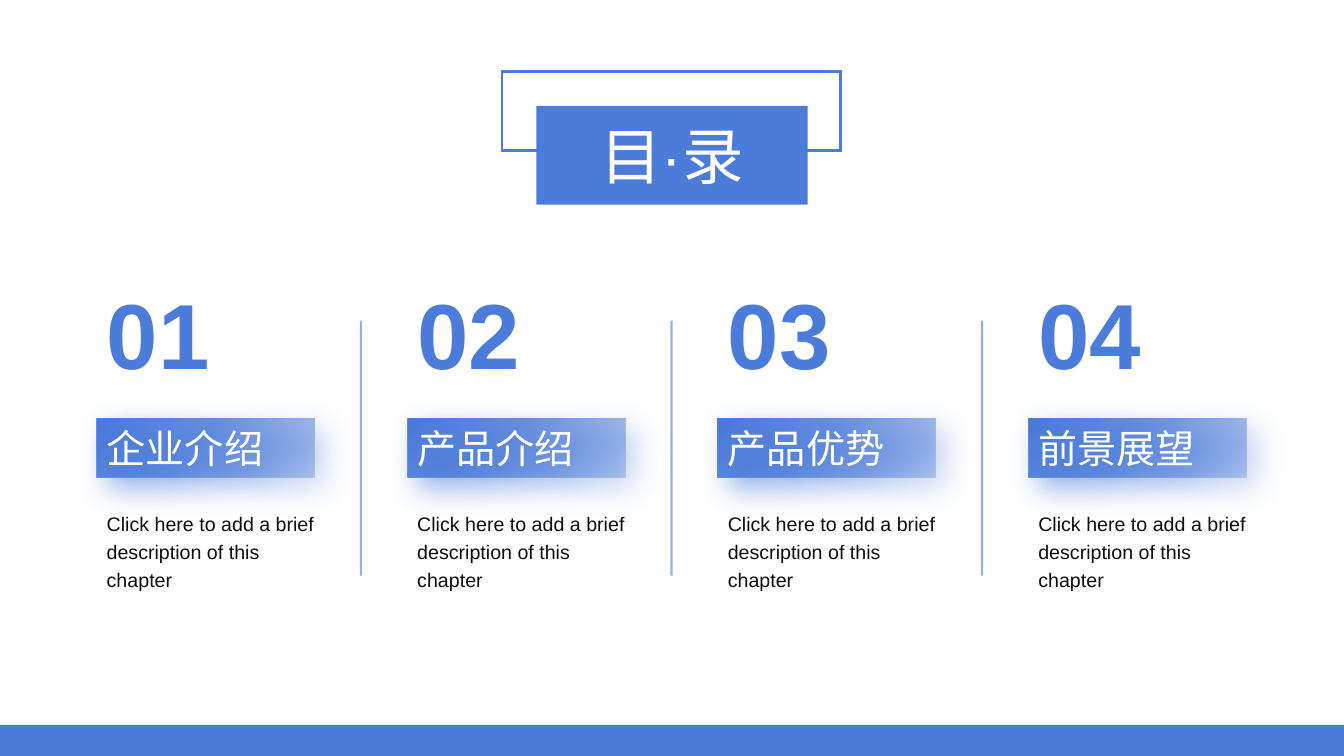
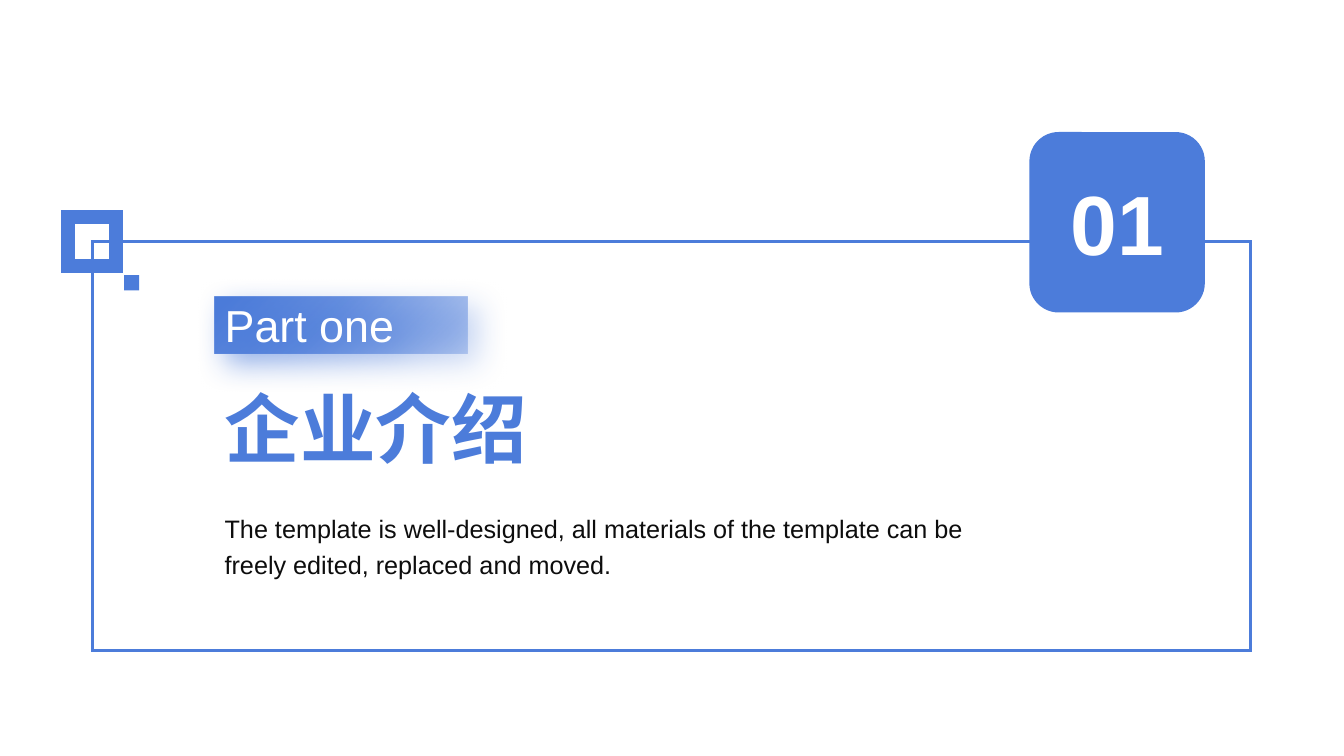
from dataclasses import dataclass
from lxml import etree
from pptx import Presentation, oxml, util as u
from pptx.dml.color import RGBColor
from pptx.enum import shapes, text
from pptx.oxml.ns import nsdecls, qn


@dataclass(frozen=True)
class Theme:
    font: str = "Arial"
    blue: str = "4C7CDA"
    white: str = "FFFFFF"
    ink: str = "0D0D0D"
    note: int = 14
    body: int = 18
    label: int = 28
    kicker: int = 32
    title: int = 44
    heading: int = 54
    badge: int = 60
    number: int = 66
    gradient: tuple = ((0, 34), (56, 83), (95, 100))


theme = Theme()


def add_block(page, place, fill=None, line=None, kind=shapes.MSO_SHAPE.RECTANGLE):
    block = page.shapes.add_shape(kind, *(u.Inches(n) for n in place))
    block.shadow.inherit = False
    properties = block.element.spPr
    if line:
        block.line.color.rgb = RGBColor.from_string(theme.blue)
        block.line.width = u.Pt(line)
        outline = properties.find(qn("a:ln"))
        etree.SubElement(outline, qn("a:miter"), lim="800000")
    else:
        block.line.fill.background()
    if fill == "gradient":
        stops = "".join(
            f'<a:gs pos="{at * 1000}"><a:srgbClr val="{theme.blue}">'
            f'<a:alpha val="{alpha * 1000}"/></a:srgbClr></a:gs>'
            for at, alpha in theme.gradient)
        properties.find(qn("a:prstGeom")).addnext(oxml.parse_xml(
            f'<a:gradFill {nsdecls("a")} rotWithShape="1"><a:gsLst>{stops}</a:gsLst>'
            f'<a:lin ang="{225 * 60000}" scaled="0"/></a:gradFill>'))
        properties.find(qn("a:effectLst")).append(oxml.parse_xml(
            f'<a:outerShdw {nsdecls("a")} blurRad="{u.Pt(21)}" dist="{u.Pt(11)}" '
            f'dir="{45 * 60000}" algn="tl" rotWithShape="0">'
            f'<a:srgbClr val="{theme.blue}"><a:alpha val="61000"/></a:srgbClr></a:outerShdw>'))
    elif fill:
        block.fill.solid()
        block.fill.fore_color.rgb = RGBColor.from_string(fill)
    else:
        block.fill.background()
    return block


def write(page, target, words, size, color, bold=False, align=text.PP_ALIGN.LEFT, spacing=None):
    if isinstance(target, tuple):
        frame = page.shapes.add_textbox(*(u.Inches(n) for n in target)).text_frame
        frame.auto_size = text.MSO_AUTO_SIZE.SHAPE_TO_FIT_TEXT
    else:
        frame = target.text_frame
        frame.vertical_anchor = text.MSO_ANCHOR.MIDDLE
    frame.word_wrap = True
    para = frame.paragraphs[0]
    para.alignment = align
    if spacing:
        para.line_spacing = spacing
    span = para.add_run()
    span.text = words
    span.font.size = u.Pt(size)
    span.font.bold = bold
    span.font.color.rgb = RGBColor.from_string(color)
    span.font.name = theme.font
    etree.SubElement(span.font._element, qn("a:ea"), typeface=theme.font)


deck = Presentation()
deck.slide_width = u.Inches(13.33)
deck.slide_height = u.Inches(7.5)
blank = deck.slide_layouts[6]

page = deck.slides.add_slide(blank)
chapters = ["企业介绍", "产品介绍", "产品优势", "前景展望"]
column_step = 3.08
for index, chapter in enumerate(chapters):
    left = 0.96 + index * column_step
    label = add_block(page, (left, 4.15, 2.16, 0.59), "gradient")
    write(page, label, chapter, theme.label, theme.white)
    write(page, (left, 4.98, 2.37, 0.95),
          "Click here to add a brief description of this chapter",
          theme.note, theme.ink, spacing=1.2)
    write(page, (left, 2.7, 1.6, 1.21), f"{index + 1:02}",
          theme.number, theme.blue, bold=True)

for index in range(len(chapters) - 1):
    x = u.Inches(3.58 + index * column_step)
    divider = page.shapes.add_connector(
        shapes.MSO_CONNECTOR.STRAIGHT, x, u.Inches(3.18), x, u.Inches(5.71))
    divider.line.color.rgb = RGBColor.from_string(theme.blue)
    divider.line.width = u.Pt(1.5)
    properties = divider.element.spPr
    tint = properties.find(".//" + qn("a:srgbClr"))
    etree.SubElement(tint, qn("a:alpha"), val="60000")
    etree.SubElement(properties, qn("a:effectLst"))

add_block(page, (4.98, 0.71, 3.36, 0.78), line=2)
title = add_block(page, (5.32, 1.05, 2.69, 0.98), theme.blue)
write(page, title, "目·录", theme.title, theme.white, align=text.PP_ALIGN.CENTER)
add_block(page, (0, 7.19, 13.35, 0.31), theme.blue)

page = deck.slides.add_slide(blank)
add_block(page, (0.92, 2.4, 11.48, 4.05), line=2.25)
badge = add_block(page, (10.21, 1.31, 1.74, 1.79), theme.blue,
                  kind=shapes.MSO_SHAPE.ROUNDED_RECTANGLE)
write(page, badge, "01", theme.badge, theme.white, bold=True, align=text.PP_ALIGN.CENTER)
add_block(page, (0.67, 2.15, 0.48, 0.49), line=10)
add_block(page, (1.23, 2.73, 0.15, 0.15), theme.blue)
kicker = add_block(page, (2.13, 2.94, 2.51, 0.57), "gradient")
write(page, kicker, "Part one", theme.kicker, theme.white)
write(page, (2.13, 4.98, 8.14, 0.79),
      "The template is well-designed, all materials of the template can be "
      "freely edited, replaced and moved.",
      theme.body, theme.ink, spacing=1.2)
write(page, (2.13, 3.74, 3.68, 1.01), chapters[0], theme.heading, theme.blue, bold=True)

deck.save("out.pptx")
